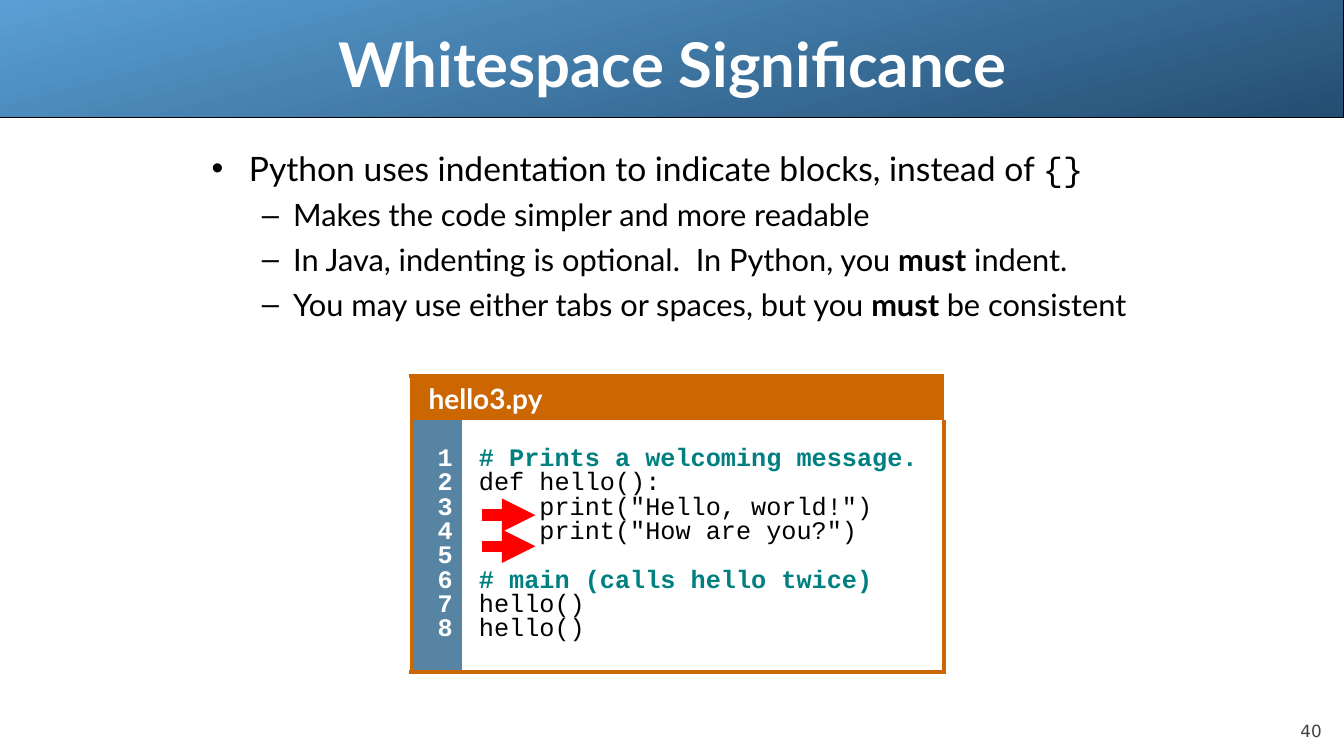
from lxml import etree
from pptx import Presentation
from pptx.dml.color import RGBColor
from pptx.enum import shapes, text
from pptx.oxml import ns
from pptx.util import Inches, Pt

COLORS = {
    "sky": "5A9FD4", "navy": "244E72", "white": "FFFFFF", "black": "000000",
    "gray": "424242", "orange": "CC6600", "steel": "5784A3",
    "teal": "008080", "red": "FF0000",
}
BODY_FONT = "Lato"
CODE_FONT = "Courier New"
NO_TABLE_STYLE = "{2D5ABB26-0587-4C30-8999-92F81FD0307C}"

BULLETS = [
    (0, [("Python uses indentation to indicate blocks, instead of ", BODY_FONT, False),
         ("{}", CODE_FONT, False)]),
    (1, [("Makes the code simpler and more readable", BODY_FONT, False)]),
    (1, [("In Java, indenting is optional.  In Python, you ", BODY_FONT, False),
         ("must", BODY_FONT, True), (" indent.", BODY_FONT, False)]),
    (1, [("You may use either tabs or spaces, but you ", BODY_FONT, False),
         ("must ", BODY_FONT, True), ("be consistent", BODY_FONT, False)]),
]
LEVELS = [
    {"mark": "•", "left": 0.37, "hang": 0.37, "size": 24, "before": 6},
    {"mark": "–", "left": 0.81, "hang": 0.31, "size": 22, "before": 5.5},
]
CODE = """# Prints a welcoming message.
def hello():
    print("Hello, world!")
    print("How are you?")

# main (calls hello twice)
hello()
hello()""".split("\n")


def rgb(name):
    return RGBColor.from_string(COLORS[name])


def add_xml(parent, tag, **attributes):
    return etree.SubElement(parent, ns.qn(tag), attributes)


def add_run(paragraph, words, font, size, color, bold=False):
    run = paragraph.add_run()
    run.text = words
    run.font.name = font
    run.font.size = Pt(size)
    run.font.bold = bold
    run.font.color.rgb = rgb(color)


def next_paragraph(frame, index, before):
    if index == 0:
        return frame.paragraphs[0]
    paragraph = frame.add_paragraph()
    paragraph.space_before = Pt(before)
    return paragraph


def set_margins(area, left, top, right, bottom):
    area.margin_left, area.margin_top = Inches(left), Inches(top)
    area.margin_right, area.margin_bottom = Inches(right), Inches(bottom)


def add_header(slide, left, top, width, height):
    banner = slide.shapes.add_shape(
        shapes.MSO_SHAPE.RECTANGLE, Inches(left), Inches(top), Inches(width), Inches(height))
    banner.shadow.inherit = False
    banner.fill.gradient()
    banner.fill.gradient_angle = 285
    for stop, position, color in zip(banner.fill.gradient_stops, (0, 1), ("sky", "navy")):
        stop.position = position
        stop.color.rgb = rgb(color)
    banner.line.color.rgb = rgb("black")
    banner.line.width = Pt(0.75)
    slide.shapes._spTree.insert(2, banner._element)

    title = slide.shapes.title
    title.left, title.top = Inches(left + 2.17), Inches(top)
    title.width, title.height = Inches(9), Inches(1.25)
    frame = title.text_frame
    frame.vertical_anchor = text.MSO_ANCHOR.MIDDLE
    frame.paragraphs[0].alignment = text.PP_ALIGN.CENTER
    add_run(frame.paragraphs[0], "Whitespace Significance", BODY_FONT, 44, "white", True)


def add_bullets(slide, left, top, width, height):
    frame = slide.shapes.add_textbox(
        Inches(left), Inches(top), Inches(width), Inches(height)).text_frame
    frame.word_wrap = True
    for index, (level, runs) in enumerate(BULLETS):
        style = LEVELS[level]
        paragraph = next_paragraph(frame, index, style["before"])
        paragraph.level = level
        properties = paragraph._p.get_or_add_pPr()
        properties.set("marL", str(Inches(style["left"])))
        properties.set("indent", str(-Inches(style["hang"])))
        add_xml(properties, "a:buFont", typeface="Arial")
        add_xml(properties, "a:buChar", char=style["mark"])
        for words, font, bold in runs:
            add_run(paragraph, words, font, style["size"], "black", bold)


def format_cell(cell, fill, sides, margins):
    properties = cell._tc.get_or_add_tcPr()
    for side in sides:
        border = add_xml(properties, "a:ln" + side, w=str(Pt(3)))
        add_xml(add_xml(border, "a:solidFill"), "a:srgbClr", val=COLORS["orange"])
    cell.fill.solid()
    cell.fill.fore_color.rgb = rgb(fill)
    set_margins(cell, *margins)


def add_code_lines(cell, lines, pick_style, alignment):
    for index, line in enumerate(lines):
        paragraph = next_paragraph(cell.text_frame, index, 4.5)
        paragraph.alignment = alignment
        paragraph.line_spacing = 0.63
        paragraph._p.get_or_add_pPr().set("marL", str(Inches(0.12)))
        if line:
            color, bold = pick_style(line)
            add_run(paragraph, line, CODE_FONT, 18, color, bold)
        else:
            end = add_xml(paragraph._p, "a:endParaRPr", sz="1800")
            add_xml(end, "a:latin", typeface=CODE_FONT)


def add_indent_arrows(slide, left, top, length, gap):
    arrows = slide.shapes.add_group_shape()
    for row in range(2):
        y = Inches(top + row * gap)
        arrow = arrows.shapes.add_connector(
            shapes.MSO_CONNECTOR.STRAIGHT, Inches(left), y, Inches(left + length), y)
        arrow.line.color.rgb = rgb("red")
        arrow.line.width = Pt(8)
        add_xml(arrow.line._get_or_add_ln(), "a:tailEnd", type="triangle")
        add_xml(arrow._element.spPr, "a:effectLst")


def add_listing(slide, left, top, width, height):
    number_width, header_height = 0.5, 0.42
    table = slide.shapes.add_table(
        2, 2, Inches(left), Inches(top), Inches(width), Inches(height)).table
    table._tbl.tblPr.find(ns.qn("a:tableStyleId")).text = NO_TABLE_STYLE
    table.first_row = table.horz_banding = False
    table.columns[0].width = Inches(number_width)
    table.columns[1].width = Inches(width - number_width)
    table.rows[0].height = Inches(header_height)
    table.rows[1].height = Inches(height - header_height)

    file_name, numbers, code = table.cell(0, 0), table.cell(1, 0), table.cell(1, 1)
    file_name.merge(table.cell(0, 1))
    format_cell(file_name, "orange", "LT", (0.05, 0.05, 0.05, 0.05))
    format_cell(numbers, "steel", "LB", (0.05, 0.32, 0.09, 0.23))
    format_cell(code, "white", "RB", (0.05, 0.32, 0.18, 0.23))

    heading = file_name.text_frame.paragraphs[0]
    heading.line_spacing = 1.01
    heading._p.get_or_add_pPr().set("marL", str(Inches(0.12)))
    add_run(heading, "hello3.py", BODY_FONT, 20, "white", True)
    add_code_lines(numbers, [str(n) for n in range(1, len(CODE) + 1)],
                   lambda line: ("white", True), text.PP_ALIGN.RIGHT)
    add_code_lines(code, CODE,
                   lambda line: ("teal", True) if line.startswith("#") else ("black", False),
                   text.PP_ALIGN.LEFT)
    add_indent_arrows(slide, left + 0.7, top + 1.38, 0.53, 0.31)


def add_page_number(slide, left, top, width, height):
    frame = slide.shapes.add_textbox(
        Inches(left), Inches(top), Inches(width), Inches(height)).text_frame
    frame.word_wrap = True
    set_margins(frame, 0, 0, 0, 0)
    frame.vertical_anchor = text.MSO_ANCHOR.BOTTOM
    frame.paragraphs[0].alignment = text.PP_ALIGN.RIGHT
    add_run(frame.paragraphs[0], "40", "DejaVu Sans", 12, "gray")


def main():
    deck = Presentation()
    deck.slide_width, deck.slide_height = Inches(13.33), Inches(7.5)
    slide = deck.slides.add_slide(deck.slide_layouts[5])
    add_header(slide, 0, 0, 13.33, 1.17)
    add_page_number(slide, 12, 6.95, 1.11, 0.4)
    add_bullets(slide, 2, 1.42, 9.5, 5.42)
    add_listing(slide, 4.08, 3.73, 5.28, 2.92)
    deck.save("out.pptx")


if __name__ == "__main__":
    main()
